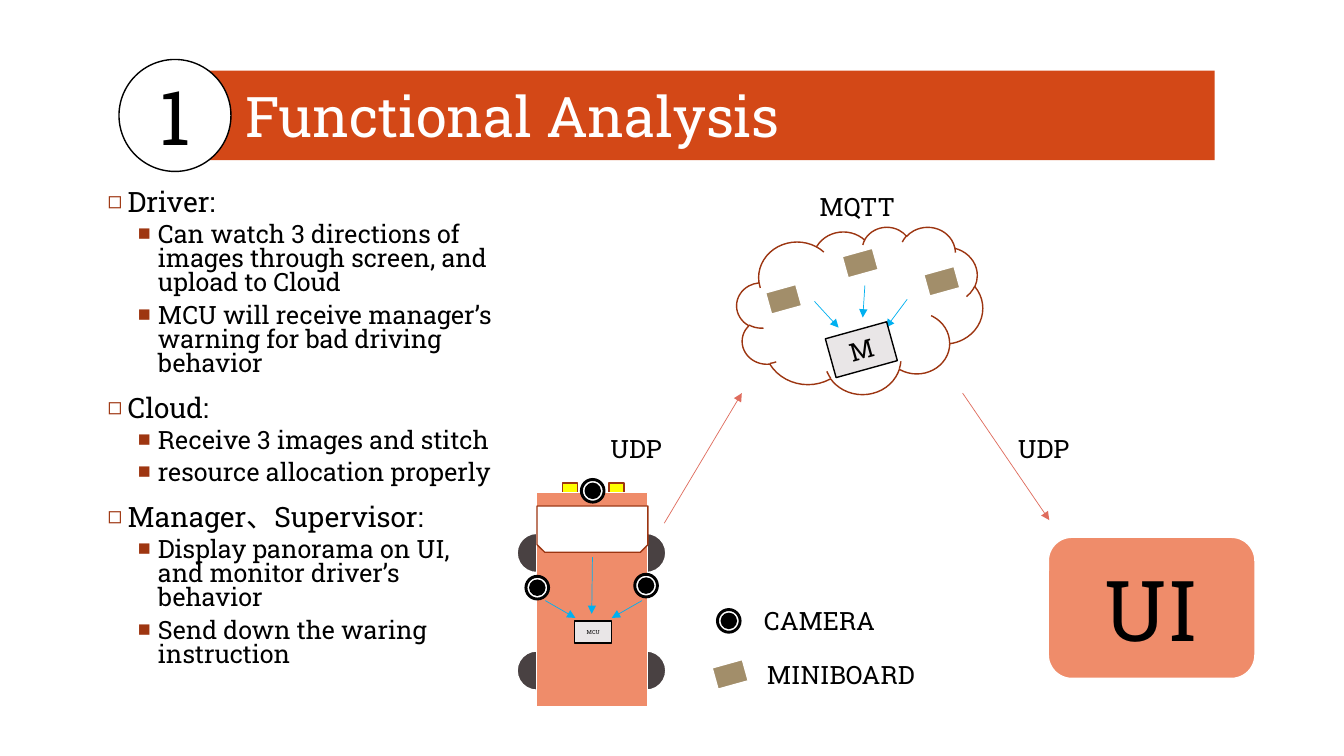
from pptx import Presentation
from pptx import util as u
from pptx.dml.color import RGBColor
from pptx.enum import shapes, text
from pptx.oxml.ns import qn
from lxml import etree

Pt = u.Pt
SHAPE = shapes.MSO_SHAPE
ALIGN = text.PP_ALIGN
MIDDLE = text.MSO_ANCHOR.MIDDLE
BLACK, WHITE, BLUE, RUST = "000000", "FFFFFF", "00B0F0", "9C3511"
ORANGE, SALMON, RED, TAN = "D34817", "EF8C6A", "DF6C5D", "A28E6A"
GREY, TYRE, YELLOW = "E9E6E7", "494142", "FFFF00"
BULLET = "9E3611"
TILT = 344.5


def rgb(value):
    return RGBColor.from_string(value)


class Deck:
    font = "Roboto Slab"

    def __init__(self, prs):
        self.s = prs.slides.add_slide(prs.slide_layouts[5])

    def style(self, p, size, color=BLACK, align=ALIGN.LEFT):
        p.font.name, p.font.size = self.font, Pt(size)
        p.font.color.rgb = rgb(color)
        p.alignment = align

    def title(self, wording, x, y, w, h):
        sp = self.s.shapes.title
        sp.left, sp.top, sp.width, sp.height = map(Pt, (x, y, w, h))
        sp.fill.solid()
        sp.fill.fore_color.rgb = rgb(ORANGE)
        tf = sp.text_frame
        tf.text = wording
        tf.margin_left = Pt(50.4)
        tf.vertical_anchor = MIDDLE
        tf.auto_size = text.MSO_AUTO_SIZE.NONE
        self.style(tf.paragraphs[0], 40, WHITE)

    def shape(self, kind, x, y, w, h, fill=None, line=WHITE, rot=0, label="", size=18):
        sp = self.s.shapes.add_shape(kind, Pt(x), Pt(y), Pt(w), Pt(h))
        sp.shadow.inherit = False
        sp.rotation = rot
        if fill:
            sp.fill.solid()
            sp.fill.fore_color.rgb = rgb(fill)
        else:
            sp.fill.background()
        sp.line.color.rgb = rgb(line)
        sp.line.width = Pt(1)
        if label:
            tf = sp.text_frame
            tf.text = label
            tf.margin_left = tf.margin_right = tf.margin_top = tf.margin_bottom = 0
            tf.vertical_anchor = MIDDLE
            self.style(tf.paragraphs[0], size, align=ALIGN.CENTER)

    def textbox(self, x, y, w, h):
        tf = self.s.shapes.add_textbox(Pt(x), Pt(y), Pt(w), Pt(h)).text_frame
        tf.word_wrap = True
        return tf

    def label(self, wording, x, y, w):
        tf = self.textbox(x, y, w, 29)
        tf.text = wording
        self.style(tf.paragraphs[0], 18)

    def arrow(self, x1, y1, x2, y2, color=BLUE):
        c = self.s.shapes.add_connector(
            shapes.MSO_CONNECTOR.STRAIGHT, Pt(x1), Pt(y1), Pt(x2), Pt(y2))
        c.line.color.rgb = rgb(color)
        c.line.width = Pt(0.5)
        etree.SubElement(c.line._get_or_add_ln(), qn("a:tailEnd"), type="triangle")
        etree.SubElement(c._element.spPr, qn("a:effectLst"))

    def bullet(self, p, char, indent):
        pPr = p._p.get_or_add_pPr()
        pPr.set("marL", str(Pt(indent)))
        pPr.set("indent", str(Pt(-14.4)))
        clr = etree.Element(qn("a:buClr"))
        etree.SubElement(clr, qn("a:srgbClr"), val=BULLET)
        marks = [clr, etree.Element(qn("a:buSzPct"), val="85000"),
                 etree.Element(qn("a:buFont"), typeface="Arial"),
                 etree.Element(qn("a:buChar"), char=char)]
        pPr.extend(marks)

    def outline(self, sections, x, y, w, h):
        tf = self.textbox(x, y, w, h)
        rows = [row for head, items in sections
                for row in [(head, 0)] + [(item, 1) for item in items]]
        for i, (wording, level) in enumerate(rows):
            p = tf.add_paragraph() if i else tf.paragraphs[0]
            p.text, p.level = wording, level
            p.line_spacing = 0.8
            p.space_before = Pt((12, 4)[level])
            p.space_after = Pt((0, 2)[level])
            self.style(p, (20, 18)[level])
            self.bullet(p, "◻■"[level], (14.4, 36)[level])

    def camera(self, cx, cy):
        for d, fill in ((17.3, BLACK), (15.1, WHITE), (10.8, BLACK)):
            self.shape(SHAPE.OVAL, cx - d / 2, cy - d / 2, d, d, fill, BLACK)

    def board(self, cx, cy):
        self.shape(SHAPE.RECTANGLE, cx - 11.2, cy - 7.9, 22.4, 15.8, TAN, rot=TILT)


prs = Presentation()
prs.slide_width, prs.slide_height = Pt(960), Pt(540)
d = Deck(prs)

d.title("Functional Analysis", 124.6, 50.4, 743, 64)
d.shape(SHAPE.OVAL, 85, 42.5, 80, 80, WHITE, BLACK, label="1", size=54)
d.outline([
    ("Driver:", ["Can watch 3 directions of images through screen, and upload to Cloud",
                 "MCU will receive manager’s warning for bad driving behavior"]),
    ("Cloud:", ["Receive 3 images and stitch", "resource allocation properly"]),
    ("Manager、Supervisor:", ["Display panorama on UI, and monitor driver’s behavior",
                             "Send down the waring instruction"]),
], 69.8, 133.2, 293, 353)

for x in (401.8, 434.9):
    d.shape(SHAPE.RECTANGLE, x, 344.9, 10.8, 11.5, YELLOW, RUST)
for y in (381, 465):
    for x in (369.4, 447.6):
        d.shape(SHAPE.OVAL, x, y, 28, 28, TYRE)
d.shape(SHAPE.RECTANGLE, 383.4, 351.7, 79.2, 153.4, SALMON)
d.shape(SHAPE.SNIP_2_SAME_RECTANGLE, 383.6, 361.4, 79.2, 33.1, WHITE, RUST, rot=180)
d.shape(SHAPE.RECTANGLE, 410.4, 443.5, 26.6, 15.8, GREY, BLACK, label="MCU", size=4)
for ends in ((389.5, 429, 411, 441.4), (423.2, 398, 422.7, 438.5), (458.6, 429, 437, 441.4)):
    d.arrow(*ends)

d.shape(SHAPE.CLOUD, 526.3, 162, 175.7, 119.5, line=RUST)
for ends in ((581.8, 215.3, 599, 234), (648, 213.8, 632.9, 234), (617.8, 203.8, 616.3, 226.8)):
    d.arrow(*ends)
d.shape(SHAPE.RECTANGLE, 592.6, 235.4, 45.4, 28.8, GREY, BLACK, TILT, "M")

d.arrow(474.5, 373.7, 529.9, 280.8, RED)
d.arrow(687.6, 280.8, 749.5, 371.5, RED)
d.shape(SHAPE.ROUNDED_RECTANGLE, 748.8, 383.8, 147.6, 100.8, SALMON, label="UI", size=60)

for center in ((383.8, 419.8), (423.4, 350.6), (461.5, 418.3), (520.6, 443.5)):
    d.camera(*center)
for center in ((559.8, 213.8), (614.5, 187.9), (672.8, 200.9), (521.6, 481.7)):
    d.board(*center)
for wording, x, y, w in (("MQTT", 578.2, 133.2, 72.7), ("UDP", 429, 306, 88.6),
                         ("UDP", 720, 306, 77), ("CAMERA", 538.6, 429, 103.7),
                         ("MINIBOARD", 540.7, 467.3, 146.9)):
    d.label(wording, x, y, w)

prs.save("out.pptx")
